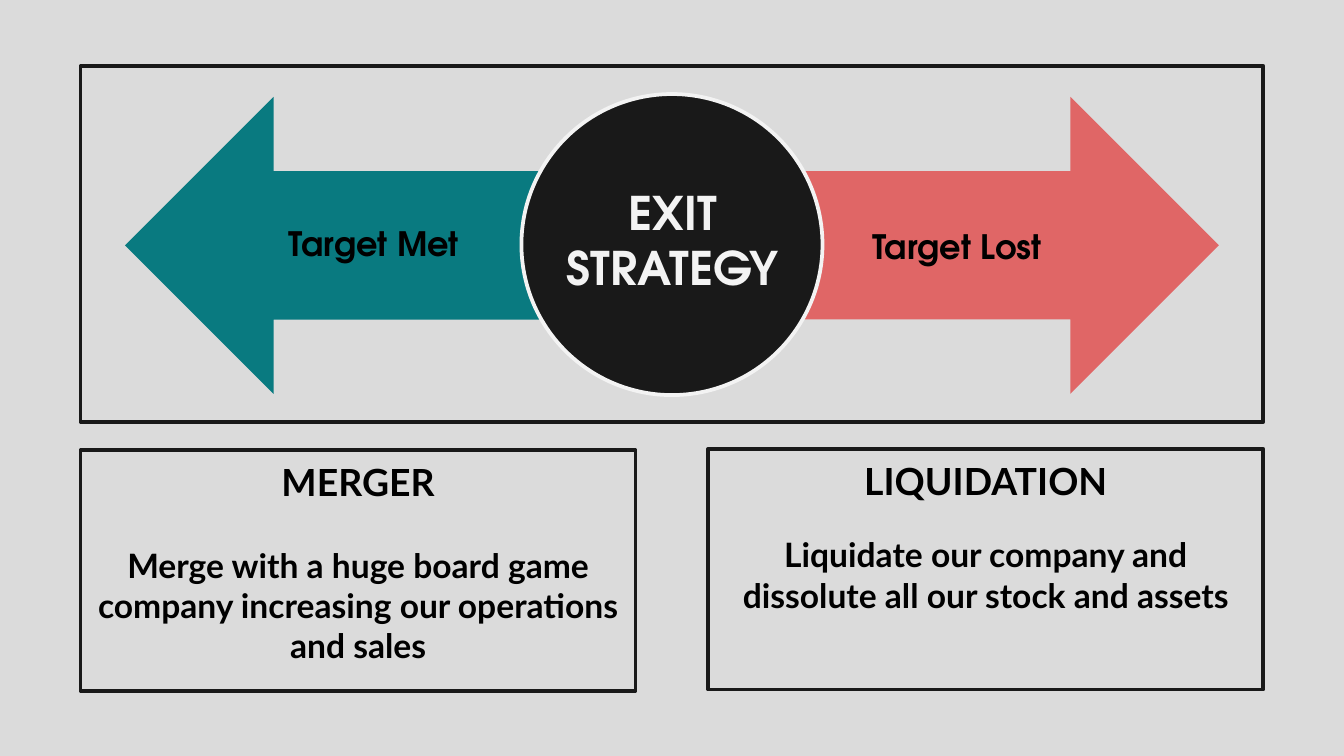
from pptx import Presentation
from pptx.dml.color import RGBColor
from pptx.enum.shapes import MSO_SHAPE
from pptx.enum.text import PP_ALIGN
from pptx.util import Inches, Pt

GREY = RGBColor(0xDB, 0xDB, 0xDB)
TEAL = RGBColor(0x09, 0x7A, 0x80)
CORAL = RGBColor(0xE0, 0x66, 0x66)
CHARCOAL = RGBColor(0x19, 0x19, 0x19)
OFF_WHITE = RGBColor(0xF3, 0xF3, 0xF3)
BLACK = RGBColor(0, 0, 0)
DISPLAY_FONT = "TeX Gyre Adventor"
BODY_FONT = "Lato"

presentation = Presentation()
presentation.slide_width = Inches(10)
presentation.slide_height = Inches(10 * 9 / 16)
slide = presentation.slides.add_slide(presentation.slide_layouts[6])
slide.background.fill.solid()
slide.background.fill.fore_color.rgb = GREY


def add_shape(kind, left, top, width, height, fill=None, line=None):
    shape = slide.shapes.add_shape(
        kind, Inches(left), Inches(top), Inches(width), Inches(height))
    shape.shadow.inherit = False
    if fill is None:
        shape.fill.background()
    else:
        shape.fill.solid()
        shape.fill.fore_color.rgb = fill
    if line is None:
        shape.line.fill.background()
    else:
        shape.line.color.rgb = line
        shape.line.width = Pt(2)
    return shape


def add_text(left, top, width, height, lines, font, color=BLACK,
             align=PP_ALIGN.CENTER, wrap=True):
    """Add a bold text box; each line is (text, size, space before), in points."""
    box = slide.shapes.add_textbox(
        Inches(left), Inches(top), Inches(width), Inches(height))
    frame = box.text_frame
    frame.word_wrap = wrap
    for index, (text, size, space) in enumerate(lines):
        paragraph = frame.add_paragraph() if index else frame.paragraphs[0]
        paragraph.alignment = align
        if space:
            paragraph.space_before = Pt(space)
        run = paragraph.add_run()
        run.text = text
        run.font.name = font
        run.font.size = Pt(size)
        run.font.bold = True
        run.font.color.rgb = color


# Opposing arrows meeting behind the central circle
add_shape(MSO_SHAPE.RIGHT_ARROW, 5, 0.72, 4.07, 2.21, fill=CORAL)
left_arrow = add_shape(MSO_SHAPE.RIGHT_ARROW, 0.93, 0.72, 4.07, 2.21, fill=TEAL)
left_arrow.rotation = 180
add_shape(MSO_SHAPE.OVAL, 3.88, 0.7, 2.24, 2.24, fill=CHARCOAL, line=OFF_WHITE)
add_text(3.98, 1.32, 2.05, 0.93, [("EXIT", 24.8, 0), ("STRATEGY", 24.8, 0)],
         DISPLAY_FONT, OFF_WHITE, wrap=False)
for label, left, top in [("Target Met", 2.05, 1.61), ("Target Lost", 6.39, 1.63)]:
    add_text(left, top, 1.56, 0.4, [(label, 18, 0)], DISPLAY_FONT,
             align=PP_ALIGN.LEFT)

# Frame around the diagram, then one framed panel per outcome
add_shape(MSO_SHAPE.RECTANGLE, 0.6, 0.49, 8.8, 2.65, line=CHARCOAL)
panels = [
    (0.6, 3.35, 1.65, "MERGER", 21.6,
     "Merge with a huge board game company increasing our operations and sales"),
    (5.27, 3.34, 1.28, "LIQUIDATION", 16.8,
     "Liquidate our company and dissolute all our stock and assets"),
]
for left, top, text_height, heading, gap, body in panels:
    add_shape(MSO_SHAPE.RECTANGLE, left, top, 4.13, 1.79, line=CHARCOAL)
    add_text(left, top + 0.02, 4.13, text_height,
             [(heading, 20, 0), (body, 18, gap)], BODY_FONT)

presentation.save("out.pptx")
